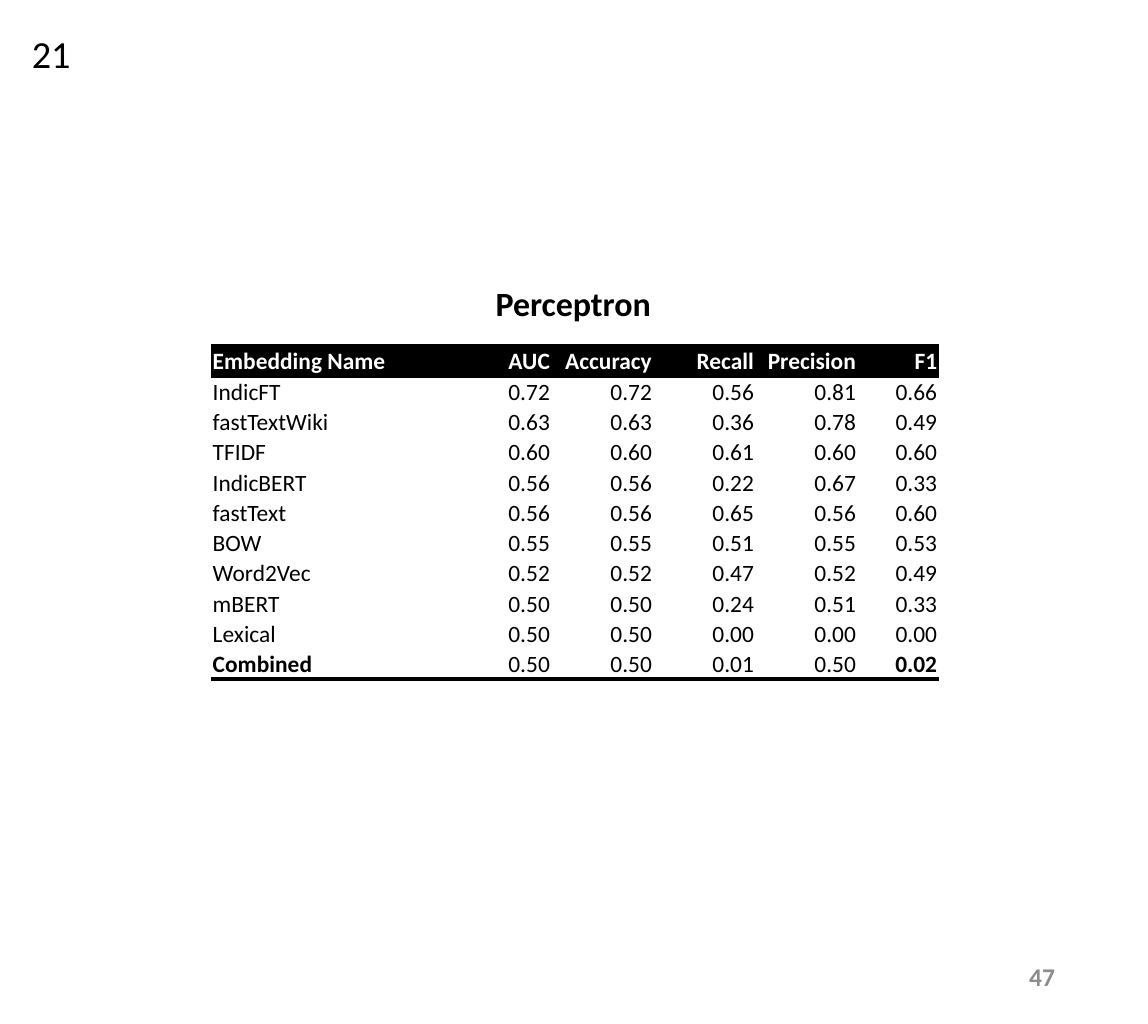
from lxml import etree
from pptx import Presentation
from pptx import util as u
from pptx.dml.color import RGBColor
from pptx.enum import text
from pptx.oxml import ns

PX = 3048  # EMU per px, 300 px to the inch
FONT = "Calibri"
BLACK, WHITE, GREY = "000000", "FFFFFF", "8C8C8C"
NO_STYLE = "{2D5ABB26-0587-4C30-8999-92F81FD0307C}"
LEFT, CENTER, RIGHT = text.PP_ALIGN.LEFT, text.PP_ALIGN.CENTER, text.PP_ALIGN.RIGHT
TOP, MIDDLE = text.MSO_ANCHOR.TOP, text.MSO_ANCHOR.MIDDLE

COLUMN_WIDTHS = [467, 200, 200, 200, 200, 159]
SCORES = [
    ["Embedding Name", "AUC", "Accuracy", "Recall", "Precision", "F1"],
    ["IndicFT", "0.72", "0.72", "0.56", "0.81", "0.66"],
    ["fastTextWiki", "0.63", "0.63", "0.36", "0.78", "0.49"],
    ["TFIDF", "0.60", "0.60", "0.61", "0.60", "0.60"],
    ["IndicBERT", "0.56", "0.56", "0.22", "0.67", "0.33"],
    ["fastText", "0.56", "0.56", "0.65", "0.56", "0.60"],
    ["BOW", "0.55", "0.55", "0.51", "0.55", "0.53"],
    ["Word2Vec", "0.52", "0.52", "0.47", "0.52", "0.49"],
    ["mBERT", "0.50", "0.50", "0.24", "0.51", "0.33"],
    ["Lexical", "0.50", "0.50", "0.00", "0.00", "0.00"],
    ["Combined", "0.50", "0.50", "0.01", "0.50", "0.02"],
]


def px(length):
    return u.Emu(length * PX)


def color(value):
    return RGBColor.from_string(value)


def style_paragraph(paragraph, size, value, bold, align):
    paragraph.alignment = align
    font = paragraph.font
    font.name, font.size, font.bold = FONT, u.Pt(size), bold
    font.color.rgb = color(value)


def add_label(slide, box, words, size, value=BLACK, bold=False,
              align=LEFT, anchor=TOP, wrap=True):
    frame = slide.shapes.add_textbox(*map(px, box)).text_frame
    frame.word_wrap = wrap
    frame.vertical_anchor = anchor
    frame.text = words
    style_paragraph(frame.paragraphs[0], size, value, bold, align)


def add_border(cell, side, value, points):
    line = etree.Element(ns.qn("a:ln" + side), w=str(u.Pt(points)))
    fill = etree.SubElement(line, ns.qn("a:solidFill"))
    etree.SubElement(fill, ns.qn("a:srgbClr"), val=value)
    # Borders stand before the fill, top before bottom
    cell._tc.get_or_add_tcPr().insert(0, line)


def fill_cell(cell, words, header, bold, align, border_sides):
    cell.text = words
    cell.vertical_anchor = text.MSO_ANCHOR.BOTTOM
    cell.margin_left = cell.margin_right = cell.margin_top = px(3)
    cell.margin_bottom = 0
    cell.fill.solid()
    cell.fill.fore_color.rgb = color(BLACK if header else WHITE)
    style_paragraph(cell.text_frame.paragraphs[0], 11,
                    WHITE if header else BLACK, bold, align)
    for side in border_sides:
        add_border(cell, side, BLACK, 2)


def add_score_table(slide, box, rows, widths):
    table = slide.shapes.add_table(len(rows), len(widths), *map(px, box)).table
    table.horz_banding = table.first_row = False
    table._tbl.tblPr.find(ns.qn("a:tableStyleId")).text = NO_STYLE
    for column, width in zip(table.columns, widths):
        column.width = px(width)
    last_row, last_column = len(rows) - 1, len(widths) - 1
    for r, row in enumerate(rows):
        sides = {0: "BT", last_row: "B"}.get(r, "")
        for c, words in enumerate(row):
            bold = r == 0 or (r == last_row and c in (0, last_column))
            fill_cell(table.cell(r, c), words, r == 0, bold,
                      RIGHT if c else LEFT, sides)


def main():
    presentation = Presentation()
    presentation.slide_width, presentation.slide_height = px(2250), px(2007)
    slide = presentation.slides.add_slide(presentation.slide_layouts[6])

    # Title and numbers
    add_label(slide, (507, 540, 1233, 111), "Perceptron", 16, bold=True, align=CENTER)
    add_label(slide, (1590, 1860, 507, 108), "47", 12, GREY, True, RIGHT, MIDDLE)
    add_label(slide, (33, 45, 138, 120), "21", 18, wrap=False)

    # Scores by embedding
    add_score_table(slide, (414, 678, 1426, 654), SCORES, COLUMN_WIDTHS)

    presentation.save("out.pptx")


if __name__ == "__main__":
    main()
